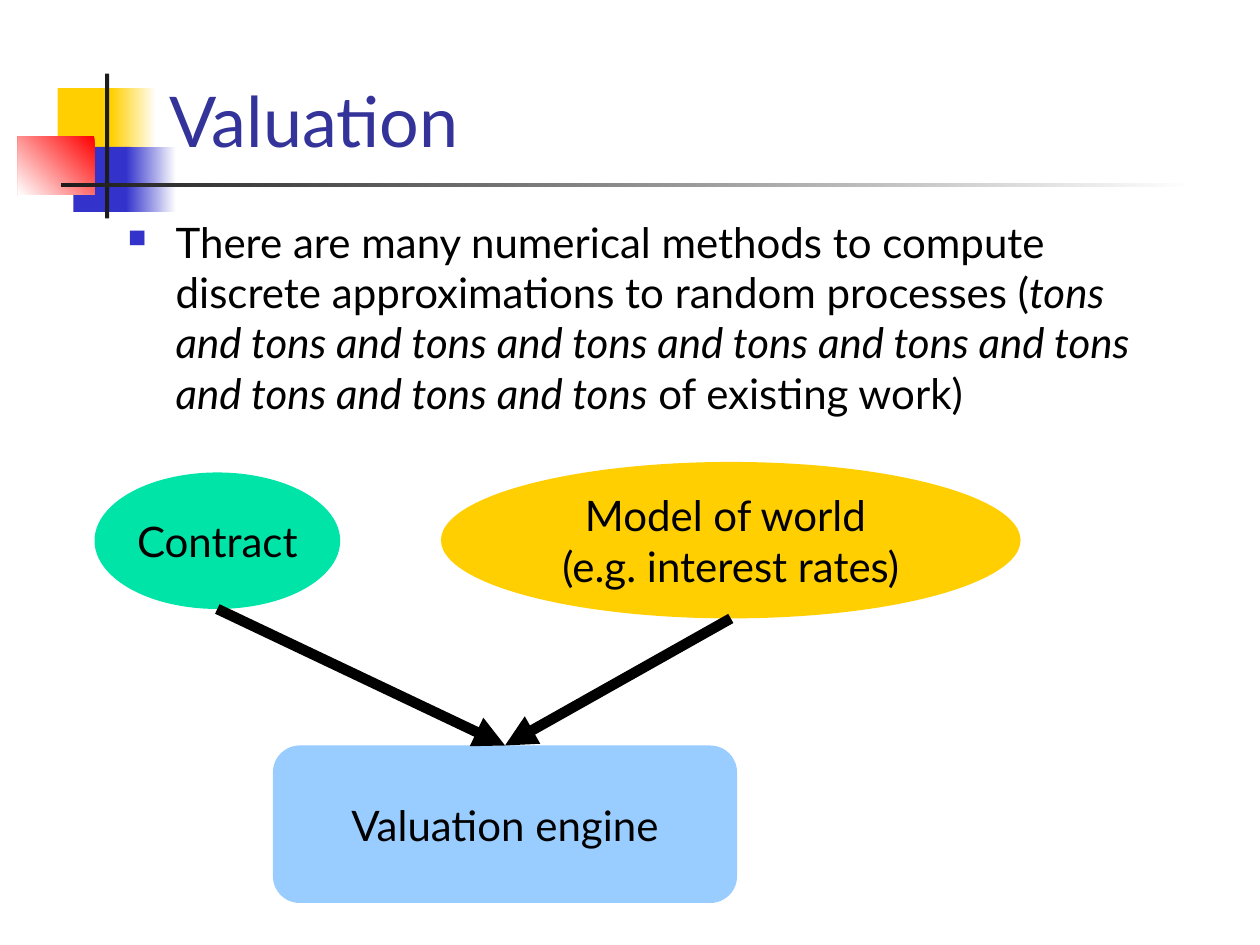
from dataclasses import dataclass

from lxml import etree
from pptx import Presentation
from pptx.dml.color import RGBColor
from pptx.enum.shapes import MSO_CONNECTOR, MSO_SHAPE
from pptx.enum.text import MSO_ANCHOR, PP_ALIGN
from pptx.oxml.ns import qn
from pptx.util import Inches, Pt

RECT, OVAL, ROUND = MSO_SHAPE.RECTANGLE, MSO_SHAPE.OVAL, MSO_SHAPE.ROUNDED_RECTANGLE
STRAIGHT = MSO_CONNECTOR.STRAIGHT
TOP, MID, LOW = MSO_ANCHOR.TOP, MSO_ANCHOR.MIDDLE, MSO_ANCHOR.BOTTOM
LEFT, CENTER = PP_ALIGN.LEFT, PP_ALIGN.CENTER
COLS, ROWS = 120, 90  # grid of the slide, 12 cells to the inch


@dataclass(frozen=True)
class Theme:
    font: str = "Lato"
    head: int = 40
    body: int = 24
    title: str = "333399"
    ink: str = "000000"
    white: str = "FFFFFF"
    gold: str = "FFCF01"
    blue: str = "3333CC"
    red: str = "FF0000"
    dark: str = "1C1C1C"
    green: str = "00E4A8"
    sky: str = "99CCFF"


T = Theme()


def cell(n):
    return Inches(n / 12)


def rgb(code):
    return RGBColor.from_string(code)


def inner(box, x, y, w, h):
    """Place a part, given by its offset and size, inside a box."""
    return box[0] + x, box[1] + y, w, h


def write(shape, *runs, size=T.body, color=T.ink, align=LEFT, anchor=TOP,
          wrap=True, bullet=None):
    """Fill a shape with one paragraph; each run is (text, italic)."""
    frame = shape.text_frame
    frame.word_wrap = wrap
    frame.vertical_anchor = anchor
    para = frame.paragraphs[0]
    para.alignment = align
    if bullet:
        mark(para, bullet)
    for text, italic in runs:
        for i, line in enumerate(text.split("\n")):
            if i:
                para.add_line_break()
            run = para.add_run()
            run.text = line
            font = run.font
            font.name, font.size, font.italic = T.font, Pt(size), italic
            font.color.rgb = rgb(color)


def mark(para, color):
    """Give a paragraph a small square bullet with a hanging indent."""
    props = para._p.get_or_add_pPr()
    indent = Inches(0.38)
    props.set("marL", str(indent))
    props.set("indent", str(-indent))
    tint = etree.SubElement(props, qn("a:buClr"))
    etree.SubElement(tint, qn("a:srgbClr"), val=color)
    etree.SubElement(props, qn("a:buSzPct"), val="60000")
    etree.SubElement(props, qn("a:buChar"), char="■")


def block(slide, kind, box, *fill, angle=180):
    """Draw a shape with one fill colour, or a gradient between two."""
    shape = slide.shapes.add_shape(kind, *map(cell, box))
    shape.shadow.inherit = False
    shape.line.fill.background()
    if len(fill) == 1:
        shape.fill.solid()
        shape.fill.fore_color.rgb = rgb(fill[0])
    else:
        shape.fill.gradient()
        shape.fill.gradient_angle = angle
        for stop, color in zip(shape.fill.gradient_stops, fill):
            stop.color.rgb = rgb(color)
    return shape


def arrow(slide, start, goal):
    """Draw a thick arrow from a point to the top of a box."""
    line = slide.shapes.add_connector(STRAIGHT, *map(cell, start), 0, 0)
    line.end_connect(goal, 0)
    line.line.width = Pt(6)
    line.line.color.rgb = rgb(T.ink)
    etree.SubElement(line.line._get_or_add_ln(), qn("a:tailEnd"), type="triangle")
    etree.SubElement(line._element.spPr, qn("a:effectLst"))


def decor(slide, box):
    """Coloured squares with crossing bars behind the title."""
    parts = [
        ((3.8, 1.4, 5.8, 6.2), (T.gold,), 180),
        ((8.9, 1.4, 4.3, 6.2), (T.white, T.gold), 180),
        ((5.3, 7, 5.5, 6.2), (T.blue,), 180),
        ((10.3, 7, 4.8, 6.2), (T.white, T.blue), 180),
        ((0, 6, 7.3, 5.5), (T.red, T.white), 225),
        ((8.3, 0, 0.4, 13.8), (T.dark,), 180),
        ((4.1, 10.4, 108, 0.4), (T.white, T.dark), 180),
    ]
    for place, fill, angle in parts:
        block(slide, RECT, inner(box, *place), *fill, angle=angle)


def heading(slide, box):
    area = slide.shapes.add_textbox(*map(cell, box))
    write(area, ("Valuation", False), size=T.head, color=T.title, anchor=LOW)


def point(slide, box):
    area = slide.shapes.add_textbox(*map(cell, box))
    write(
        area,
        ("There are many numerical methods to compute discrete "
         "approximations to random processes (", False),
        (" and ".join(["tons"] * 10), True),
        (" of existing work)", False),
        bullet=T.blue,
    )


def flow(slide, box):
    """Two inputs that feed the engine below them."""
    goal = block(slide, ROUND, inner(box, 17, 27, 44.2, 15), T.sky)
    goal.adjustments[0] = 0.17
    write(goal, ("Valuation engine", False), align=CENTER, anchor=MID)
    inputs = [
        ("Contract", (0, 1, 23.4, 13), T.green, False),
        ("Model of world \n(e.g. interest rates)", (33, 0, 55.2, 14.9), T.gold, True),
    ]
    starts = []
    for text, place, color, wrap in inputs:
        x, y, w, h = spot = inner(box, *place)
        oval = block(slide, OVAL, spot, color)
        write(oval, (text, False), align=CENTER, anchor=MID, wrap=wrap)
        starts.append((x + w / 2, y + h))
    for start in starts:
        arrow(slide, start, goal)


def main():
    deck = Presentation()
    deck.slide_width, deck.slide_height = cell(COLS), cell(ROWS)
    slide = deck.slides.add_slide(deck.slide_layouts[6])
    decor(slide, (1.7, 7, 112.1, 13.8))
    heading(slide, (15, 1, 102.2, 15))
    point(slide, (11, 20, 102, 54))
    flow(slide, (9, 44, 88.2, 42))
    deck.save("out.pptx")


if __name__ == "__main__":
    main()
